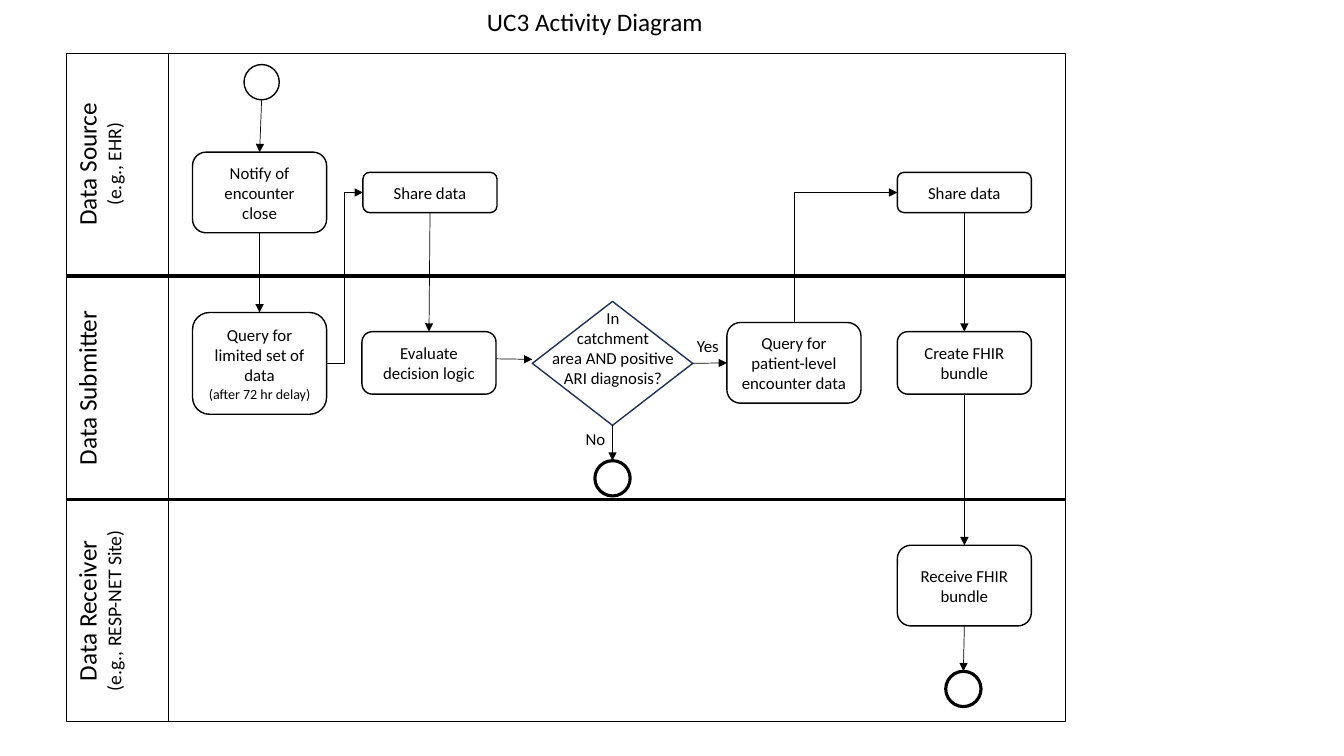
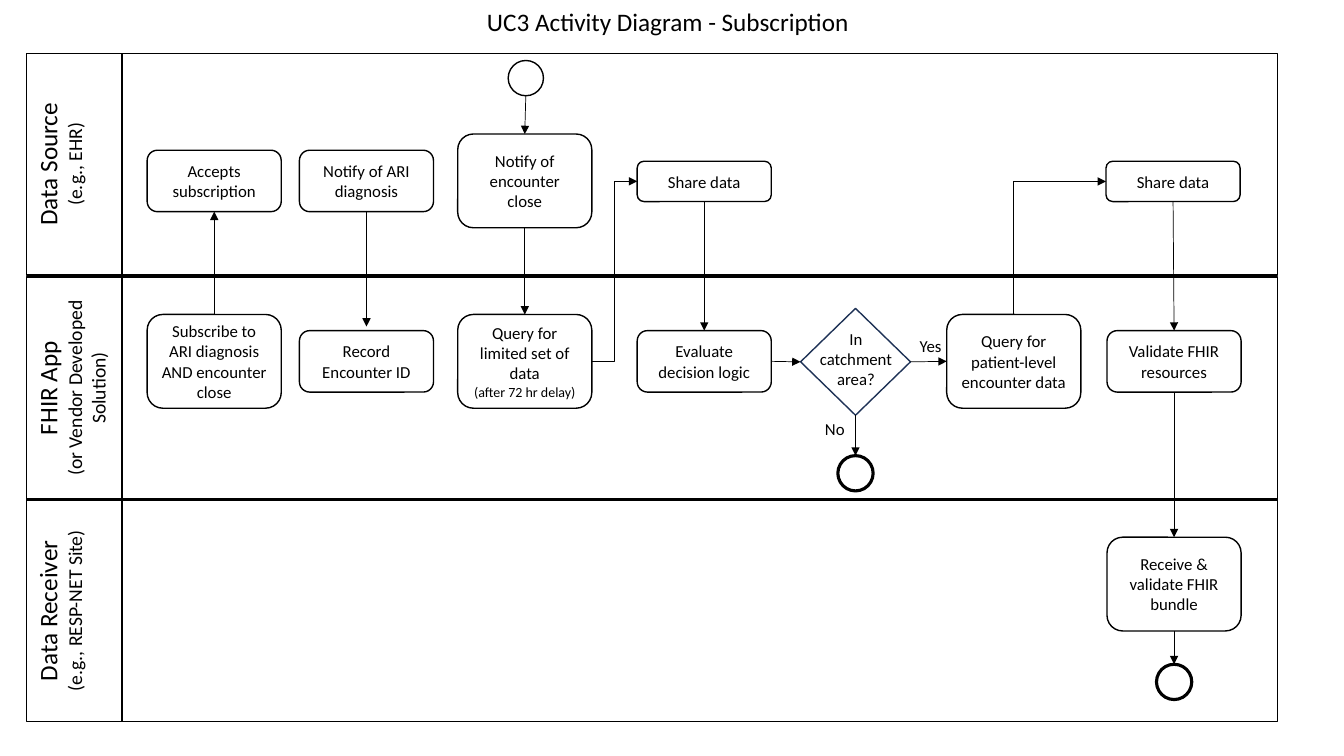
from dataclasses import dataclass, field
from enum import IntEnum
from typing import Any

from lxml.etree import SubElement
from pptx import Presentation
from pptx.dml.color import RGBColor
from pptx.enum.shapes import MSO_CONNECTOR as CXN, MSO_SHAPE as MSO
from pptx.enum.text import MSO_ANCHOR as ANCHOR, MSO_AUTO_SIZE as AUTO, PP_ALIGN as ALIGN
from pptx.oxml.ns import qn
from pptx.util import Emu, Pt


# Theme and grid
@dataclass(frozen=True)
class Theme:
    font: str = "Calibri"
    ink: str = "000000"
    paper: str = "FFFFFF"
    decision: str = "1E3256"
    title: int = 18
    lane: int = 18
    lane_note: int = 14
    body: int = 12
    note: int = 10
    outline: float = 1
    end_ring: float = 2.25
    arrow: float = 0.5


THEME = Theme()
PX = 9144  # 100 px to the inch
SLIDE_W, SLIDE_H = 1333, 750
LANE_TOPS, LANE_H = (53, 275, 496), 220
LABEL_H = 200
STEP_W, RING = 133, 35
TITLE_X, TITLE_Y, TITLE_H = 473, 1, 40


class Side(IntEnum):
    TOP = 0
    LEFT = 1
    BOTTOM = 2
    RIGHT = 3


# What a diagram is made of
@dataclass(frozen=True)
class Lane:
    name: str
    note: str = ""
    depth: int = 74


@dataclass(frozen=True)
class Node:
    key: str
    kind: Any
    x: int
    y: int
    w: int
    h: int
    text: str = ""
    note: str = ""
    line: str = THEME.ink
    weight: float = THEME.outline

    def point(self, side: Side) -> tuple[float, float]:
        mid_x, mid_y = self.x + self.w / 2, self.y + self.h / 2
        return {Side.TOP: (mid_x, self.y), Side.LEFT: (self.x, mid_y),
                Side.BOTTOM: (mid_x, self.y + self.h),
                Side.RIGHT: (self.x + self.w, mid_y)}[side]


@dataclass(frozen=True)
class Flow:
    start: str
    end: str
    out: Side = Side.BOTTOM
    into: Side = Side.TOP
    start_dy: int = 0
    end_dy: int = 0


@dataclass(frozen=True)
class Label:
    x: int
    y: int
    w: int
    h: int
    lines: tuple[str, ...]


@dataclass(frozen=True)
class Diagram:
    title: str
    title_w: int
    x: int
    w: int
    divider_x: int
    label_x: int
    lanes: tuple[Lane, ...]
    nodes: list[Node] = field(default_factory=list)
    flows: list[Flow] = field(default_factory=list)
    labels: list[Label] = field(default_factory=list)


def step(key: str, x: int, y: int, h: int, text: str, note: str = "") -> Node:
    return Node(key, MSO.FLOWCHART_ALTERNATE_PROCESS, x, y, STEP_W, h, text, note)


def ring(key: str, x: int, y: int, weight: float = THEME.outline) -> Node:
    return Node(key, MSO.FLOWCHART_CONNECTOR, x, y, RING, RING, weight=weight)


def decision(x: int, y: int, w: int, h: int) -> Node:
    return Node("decision", MSO.FLOWCHART_DECISION, x, y, w, h, line=THEME.decision)


# Drawing helpers
def px(n: float) -> Emu:
    return Emu(round(n * PX))


def color(value: str) -> RGBColor:
    return RGBColor.from_string(value)


def apply(target: Any, values: dict[str, Any]) -> None:
    for name, value in values.items():
        setattr(target, name, value)


def write(tf: Any, paragraphs: list[tuple[str, int]], align: ALIGN = ALIGN.CENTER,
          anchor: ANCHOR = ANCHOR.TOP) -> None:
    apply(tf, {"word_wrap": True, "auto_size": AUTO.NONE, "vertical_anchor": anchor})
    for i, (text, size) in enumerate(paragraphs):
        p = tf.paragraphs[0] if i == 0 else tf.add_paragraph()
        p.alignment = align
        r = p.add_run()
        r.text = text
        apply(r.font, {"name": THEME.font, "size": Pt(size)})
        r.font.color.rgb = color(THEME.ink)


def set_line(line: Any, line_color: str, weight: float) -> None:
    line.color.rgb = color(line_color)
    line.width = Pt(weight)


def add_box(s: Any, kind: Any, x: int, y: int, w: int, h: int, filled: bool = True,
            line: str = THEME.ink, weight: float = THEME.outline) -> Any:
    sp = s.shapes.add_shape(kind, px(x), px(y), px(w), px(h))
    sp.shadow.inherit = False
    if filled:
        sp.fill.solid()
        sp.fill.fore_color.rgb = color(THEME.paper)
    else:
        sp.fill.background()
    set_line(sp.line, line, weight)
    return sp


def add_line(s: Any, kind: CXN, x1: float, y1: float, x2: float, y2: float,
             weight: float, arrow: bool = False) -> Any:
    c = s.shapes.add_connector(kind, px(x1), px(y1), px(x2), px(y2))
    set_line(c.line, THEME.ink, weight)
    sp_pr = c.element.spPr
    if arrow:
        SubElement(sp_pr.find(qn("a:ln")), qn("a:tailEnd"), type="triangle")
    SubElement(sp_pr, qn("a:effectLst"))
    return c


def make_corner(c: Any, x1: float, y1: float, x2: float, y2: float) -> None:
    """Turn an elbow into a single bend: up from the start, then right."""
    w, h = y1 - y2, x2 - x1
    apply(c, {"left": px((x1 + x2 - w) / 2), "top": px((y1 + y2 - h) / 2),
              "width": px(w), "height": px(h)})
    sp_pr = c.element.spPr
    sp_pr.find(qn("a:prstGeom")).set("prst", "bentConnector2")
    for name, value in {"rot": "5400000", "flipH": "1", "flipV": "1"}.items():
        sp_pr.find(qn("a:xfrm")).set(name, value)


# Parts of a diagram
def draw_title(s: Any, d: Diagram) -> None:
    title = s.shapes.title
    apply(title, {"left": px(TITLE_X), "top": px(TITLE_Y),
                  "width": px(d.title_w), "height": px(TITLE_H)})
    write(title.text_frame, [(d.title, THEME.title)], ALIGN.LEFT)


def draw_lanes(s: Any, d: Diagram) -> None:
    for top in reversed(LANE_TOPS):
        add_box(s, MSO.RECTANGLE, d.x, top, d.w, LANE_H)
    add_line(s, CXN.STRAIGHT, d.divider_x, LANE_TOPS[0], d.divider_x,
             LANE_TOPS[-1] + LANE_H, THEME.outline)
    for lane, top in zip(d.lanes, LANE_TOPS):
        y = top + (LANE_H - LABEL_H) // 2
        tb = s.shapes.add_textbox(px(d.label_x), px(y), px(lane.depth), px(LABEL_H))
        tb.text_frame._txBody.bodyPr.set("vert", "vert270")
        note = [(lane.note, THEME.lane_note)] if lane.note else []
        write(tb.text_frame, [(lane.name, THEME.lane)] + note)


def draw_node(s: Any, n: Node) -> Any:
    sp = add_box(s, n.kind, n.x, n.y, n.w, n.h, bool(n.text), n.line, n.weight)
    if n.text:
        note = [(n.note, THEME.note)] if n.note else []
        write(sp.text_frame, [(n.text, THEME.body)] + note, anchor=ANCHOR.MIDDLE)
    return sp


def draw_flow(s: Any, f: Flow, nodes: dict[str, Node], shapes: dict[str, Any]) -> None:
    x1, y1 = nodes[f.start].point(f.out)
    x2, y2 = nodes[f.end].point(f.into)
    ends = (x1, y1 + f.start_dy, x2, y2 + f.end_dy)
    level = f.out in (Side.LEFT, Side.RIGHT) and abs(y1 - y2) < 5
    straight = level or f.into in (Side.TOP, Side.BOTTOM)
    c = add_line(s, CXN.STRAIGHT if straight else CXN.ELBOW, *ends, THEME.arrow, True)
    if not straight:
        if f.out == Side.TOP:
            make_corner(c, *ends)
        return
    # A ring numbers its connection sites differently below the top
    if not f.start_dy and nodes[f.start].kind != MSO.FLOWCHART_CONNECTOR:
        c.begin_connect(shapes[f.start], f.out)
    if not f.end_dy:
        c.end_connect(shapes[f.end], f.into)


def draw_diagram(prs: Any, d: Diagram) -> None:
    s = prs.slides.add_slide(prs.slide_layouts[5])
    draw_title(s, d)
    draw_lanes(s, d)
    nodes = {n.key: n for n in d.nodes}
    shapes = {key: draw_node(s, n) for key, n in nodes.items()}
    for f in d.flows:
        draw_flow(s, f, nodes, shapes)
    for b in d.labels:
        tb = s.shapes.add_textbox(px(b.x), px(b.y), px(b.w), px(b.h))
        write(tb.text_frame, [(line, THEME.body) for line in b.lines])


# Content
SOURCE = Lane("Data Source", "(e.g., EHR)")
RECEIVER = Lane("Data Receiver", "(e.g., RESP-NET Site)")
LIMITED = ("Query for limited set of data", "(after 72 hr delay)")
PATIENT = "Query for patient-level encounter data"
MAIN_FLOWS = [
    Flow("start", "notify"), Flow("notify", "limited"),
    Flow("limited", "share", Side.RIGHT, Side.LEFT), Flow("share", "evaluate"),
    Flow("decision", "no_end"), Flow("decision", "patient", Side.RIGHT, Side.LEFT),
    Flow("patient", "share_all", Side.TOP, Side.LEFT), Flow("share_all", "bundle"),
    Flow("bundle", "receive"), Flow("receive", "end"),
]

ACTIVITY = Diagram(
    "UC3 Activity Diagram", 351, 66, 991, 167, 66,
    (SOURCE, Lane("Data Submitter", depth=50), RECEIVER),
    [ring("start", 242, 64), step("notify", 191, 151, 80, "Notify of encounter close"),
     step("limited", 191, 310, 101, *LIMITED), step("share", 360, 171, 40, "Share data"),
     step("evaluate", 359, 329, 62, "Evaluate decision logic"),
     decision(528, 299, 159, 123), ring("no_end", 590, 457, THEME.end_ring),
     step("patient", 721, 320, 80, PATIENT), step("share_all", 890, 171, 40, "Share data"),
     step("bundle", 890, 329, 62, "Create FHIR bundle"),
     step("receive", 890, 541, 80, "Receive FHIR bundle"),
     ring("end", 938, 666, THEME.end_ring)],
    MAIN_FLOWS + [Flow("evaluate", "decision", Side.RIGHT, Side.LEFT, -4, -4)],
    [Label(536, 300, 144, 91, ("In", "catchment", "area AND positive ARI diagnosis?")),
     Label(651, 328, 102, 30, ("Yes",)), Label(559, 420, 63, 30, ("No",))])

SUBSCRIPTION = Diagram(
    "UC3 Activity Diagram - Subscription", 419, 26, 1241, 121, 27,
    (SOURCE, Lane("FHIR App", "(or Vendor Developed Solution)", 98), RECEIVER),
    [ring("start", 504, 60), step("notify", 454, 133, 93, "Notify of encounter close"),
     step("limited", 454, 312, 93, *LIMITED), step("share", 632, 160, 40, "Share data"),
     step("evaluate", 632, 328, 61, "Evaluate decision logic"),
     decision(794, 306, 109, 106), ring("no_end", 831, 452, THEME.end_ring),
     step("patient", 939, 312, 93, PATIENT), step("share_all", 1097, 160, 40, "Share data"),
     step("bundle", 1098, 328, 61, "Validate FHIR resources"),
     step("receive", 1098, 533, 93, "Receive & validate FHIR bundle"),
     ring("end", 1147, 659, THEME.end_ring),
     step("accept", 146, 149, 61, "Accepts subscription"),
     step("subscribe", 146, 312, 93, "Subscribe to ARI diagnosis AND encounter close"),
     step("ari", 297, 149, 61, "Notify of ARI diagnosis"),
     step("record", 297, 328, 61, "Record Encounter ID")],
    MAIN_FLOWS + [Flow("evaluate", "decision", Side.RIGHT, Side.LEFT),
                  Flow("subscribe", "accept", Side.TOP, Side.BOTTOM),
                  Flow("ari", "record", end_dy=-4)],
    [Label(800, 321, 98, 70, ("In catchment area?",)),
     Label(872, 328, 102, 30, ("Yes",)), Label(790, 411, 76, 30, ("No",))])


def main() -> None:
    prs = Presentation()
    prs.slide_width, prs.slide_height = px(SLIDE_W), px(SLIDE_H)
    for diagram in (ACTIVITY, SUBSCRIPTION):
        draw_diagram(prs, diagram)
    prs.save("out.pptx")


if __name__ == "__main__":
    main()
